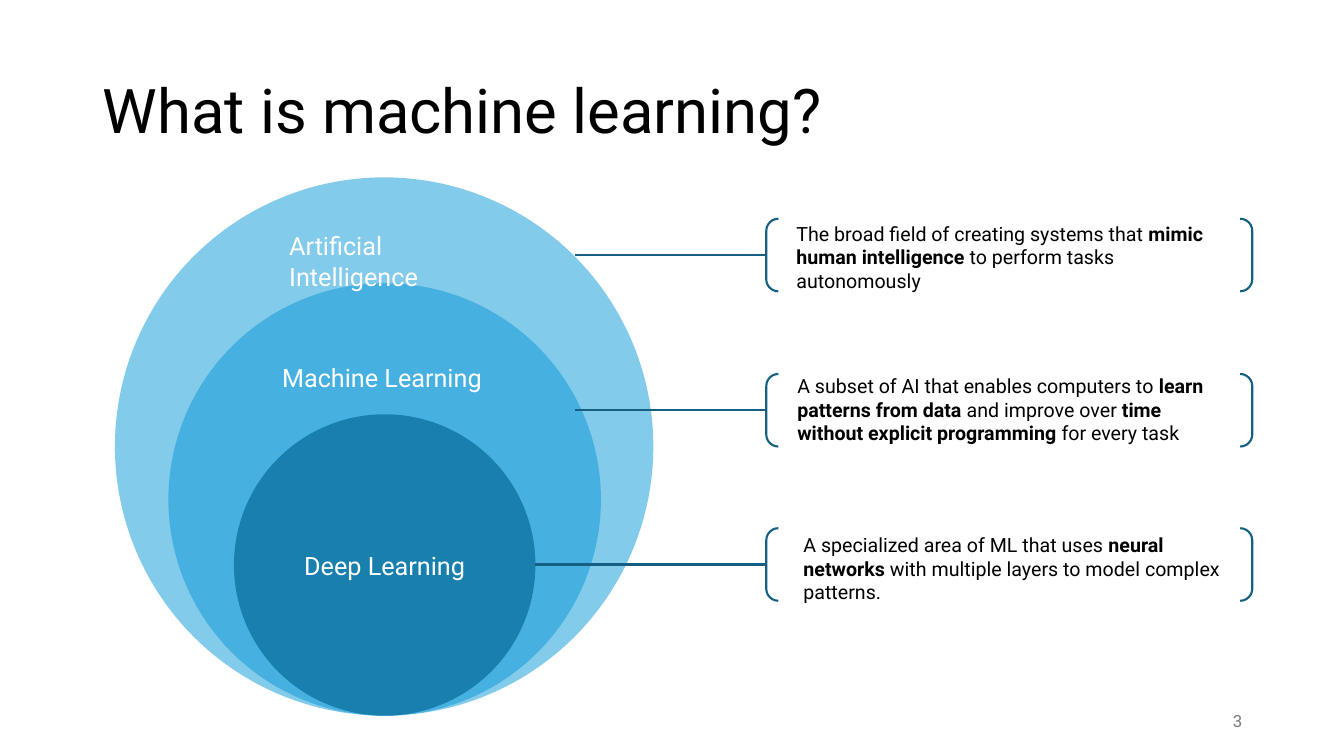
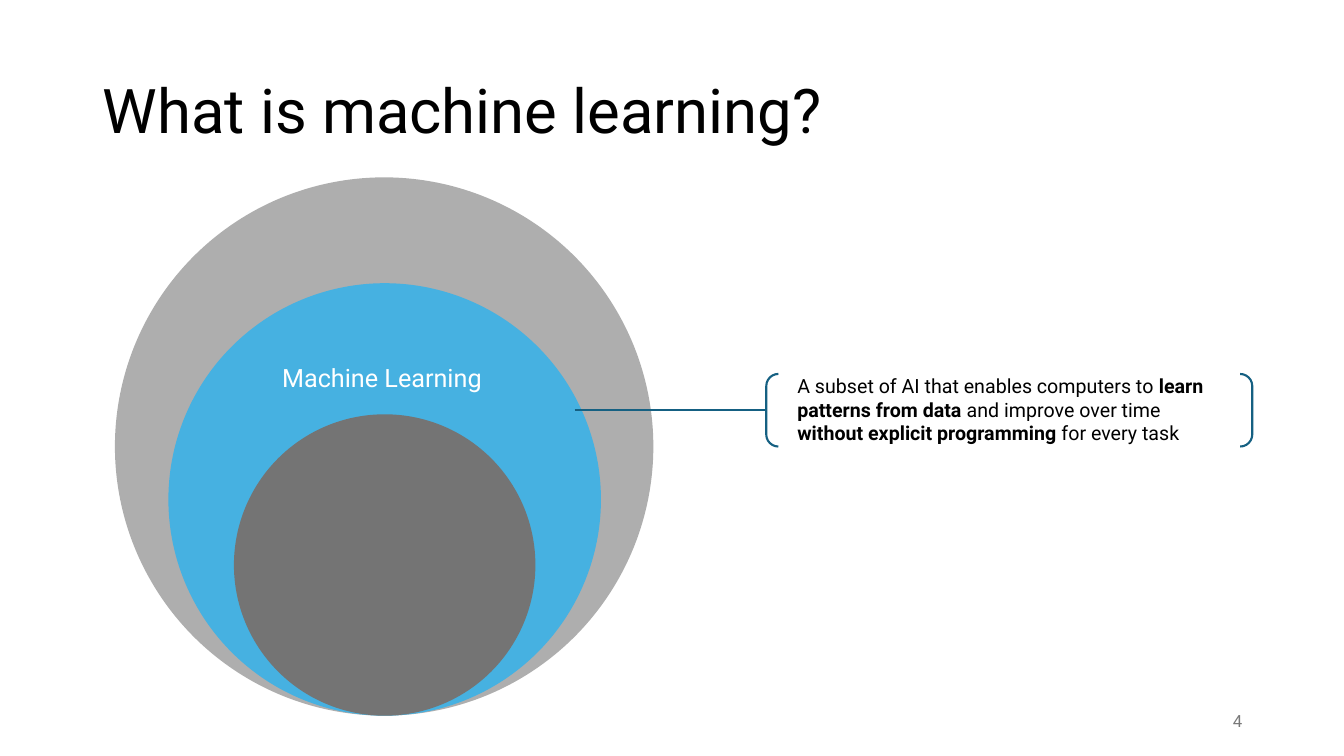
from lxml.etree import SubElement
from pptx import Presentation
from pptx.dml.color import RGBColor
from pptx.enum.shapes import MSO_CONNECTOR as Link, MSO_SHAPE as Preset
from pptx.enum.text import MSO_ANCHOR as Anchor, PP_ALIGN as Align
from pptx.oxml.ns import qn
from pptx.util import Emu, Pt

# Shared look: 100 px to the inch
PX = 9144
WIDTH, HEIGHT = 1333, 750
FONT = "Roboto"
BLACK, WHITE, NUMBER_GREY, LINE_BLUE = "000000", "FFFFFF", "797979", "156082"
TITLE_BOX = (92, 40, 1150, 145)
NUMBER_BOX = (942, 695, 300, 40)

# Nested circles share a centre line and a bottom edge
CENTRE_X, BOTTOM_Y = 381, 710
DIAMETERS = (534, 429, 299)

# Bracketed notes share left edge and size
BRACKET_X, BRACKET_W, BRACKET_H = 760, 482, 72

# Label boxes outside the circles; Deep Learning sits in its own circle
AI_LABEL = ("Artificial Intelligence", (277, 224, 241, 40))
ML_LABEL = ("Machine Learning", (270, 355, 223, 40))

# Notes: bracket top, line start, text box, runs as (text, bold)
AI_NOTE = (217, 570, (780, 215, 461, 88), [
    ("The broad field of creating systems that ", False),
    ("mimic human intelligence", True),
    (" to perform tasks autonomously", False)])
ML_BOX = (371, 570, (781, 366, 440, 81))
ML_OPENING = [
    ("A subset of AI that enables computers to ", False),
    ("learn patterns from data", True)]
ML_NOTE = (*ML_BOX, ML_OPENING + [
    (" and improve over ", False),
    ("time without explicit programming ", True),
    ("for every task", False)])
ML_FOCUS_NOTE = (*ML_BOX, ML_OPENING + [
    (" and improve over time ", False),
    ("without explicit programming", True),
    (" for every task", False)])
DL_NOTE = (524, 531, (787, 524, 434, 81), [
    ("A specialized area of ML that uses ", False),
    ("neural networks", True),
    (" with multiple layers to model complex patterns.", False)])

SLIDES = [
    {"title": "What is machine learning?", "number": "3",
     "fills": ("83CBEB", "46B1E1", "1980AE"), "core": "Deep Learning",
     "labels": [ML_LABEL, AI_LABEL], "notes": [AI_NOTE, ML_NOTE, DL_NOTE]},
    {"title": "What is machine learning?", "number": "4",
     "fills": ("AEAEAE", "46B1E1", "747474"), "core": None,
     "labels": [ML_LABEL], "notes": [ML_FOCUS_NOTE]},
]


def px(*lengths):
    return [Emu(length * PX) for length in lengths]


def colour(value):
    return RGBColor.from_string(value)


def write(shape, runs, size, ink, align=Align.LEFT, anchor=Anchor.TOP, spacing=None):
    frame = shape.text_frame
    frame.word_wrap = True
    frame.vertical_anchor = anchor
    para = frame.paragraphs[0]
    para.alignment = align
    if spacing:
        para.line_spacing = spacing
    for text, bold in runs:
        span = para.add_run()
        span.text = text
        span.font.name = FONT
        span.font.size = Pt(size)
        span.font.bold = bold
        span.font.color.rgb = colour(ink)


def add_text(page, place, runs, size, ink, **style):
    write(page.shapes.add_textbox(*px(*place)), runs, size, ink, **style)


def add_circle(page, diameter, fill):
    circle = page.shapes.add_shape(Preset.OVAL, *px(
        CENTRE_X - diameter // 2, BOTTOM_Y - diameter, diameter, diameter))
    circle.shadow.inherit = False
    circle.fill.solid()
    circle.fill.fore_color.rgb = colour(fill)
    circle.line.fill.background()
    return circle


def draw_line(line):
    line.color.rgb = colour(LINE_BLUE)
    line.width = Pt(1.5)


def add_note(page, top, line_start, text_box, runs):
    bracket = page.shapes.add_shape(
        Preset.DOUBLE_BRACKET, *px(BRACKET_X, top, BRACKET_W, BRACKET_H))
    bracket.shadow.inherit = False
    bracket.fill.background()
    draw_line(bracket.line)

    middle = top + BRACKET_H // 2
    leader = page.shapes.add_connector(
        Link.STRAIGHT, *px(line_start, middle, BRACKET_X, middle))
    leader.end_connect(bracket, 1)
    draw_line(leader.line)
    SubElement(leader._element.spPr, qn("a:effectLst"))

    add_text(page, text_box, runs, 14, BLACK)


def build_slide(deck, content):
    page = deck.slides.add_slide(deck.slide_layouts[6])

    # Title and slide number
    add_text(page, TITLE_BOX, [(content["title"], False)], 44, BLACK,
             anchor=Anchor.MIDDLE, spacing=0.9)
    add_text(page, NUMBER_BOX, [(content["number"], False)], 12, NUMBER_GREY,
             align=Align.RIGHT, anchor=Anchor.MIDDLE)

    # Circles, largest first
    circles = [add_circle(page, diameter, fill)
               for diameter, fill in zip(DIAMETERS, content["fills"])]
    if content["core"]:
        write(circles[-1], [(content["core"], False)], 18, WHITE,
              align=Align.CENTER, anchor=Anchor.MIDDLE)
    for label, place in content["labels"]:
        add_text(page, place, [(label, False)], 18, WHITE)

    # Explanations
    for note in content["notes"]:
        add_note(page, *note)


def main():
    deck = Presentation()
    deck.slide_width, deck.slide_height = px(WIDTH, HEIGHT)
    for content in SLIDES:
        build_slide(deck, content)
    deck.save("out.pptx")


if __name__ == "__main__":
    main()
